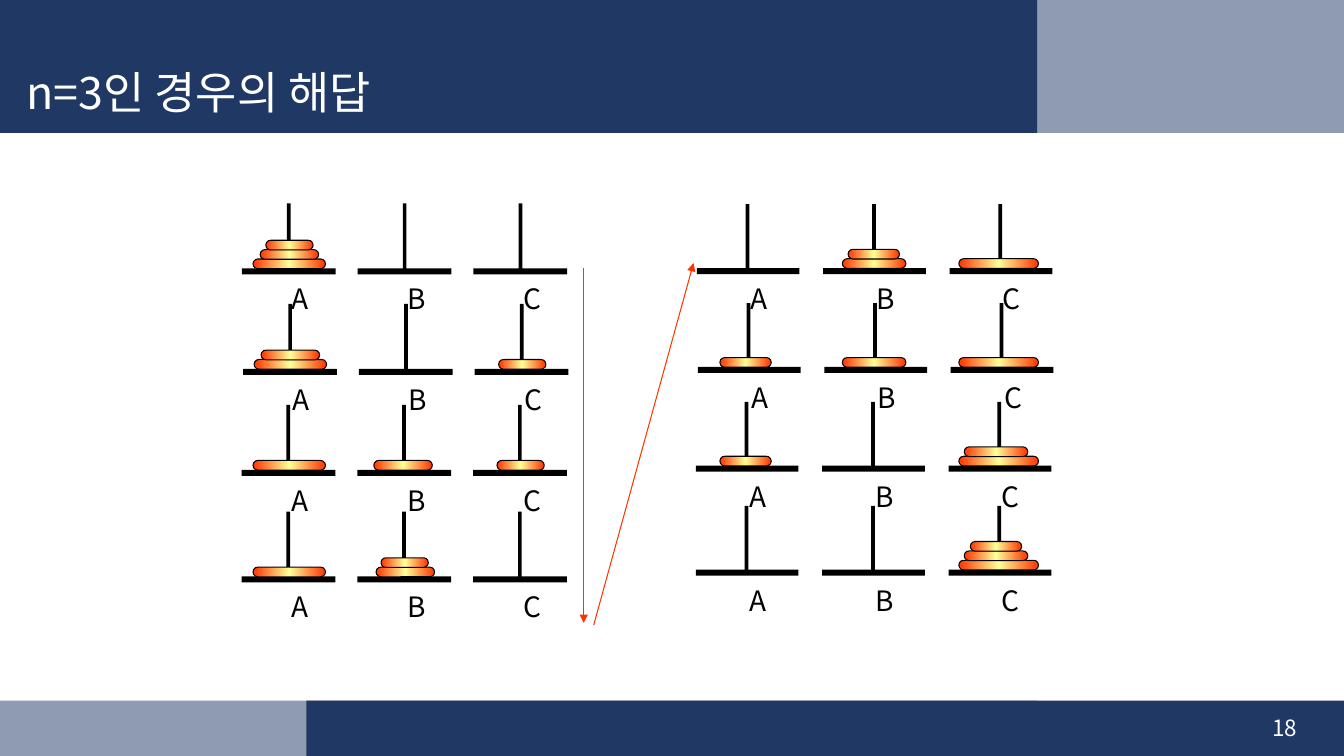
from dataclasses import dataclass

from lxml.etree import SubElement
from pptx import Presentation
from pptx.dml.color import RGBColor
from pptx.enum.shapes import MSO_CONNECTOR as CONN, MSO_SHAPE as SHAPE
from pptx.enum.text import MSO_ANCHOR as ANCHOR, MSO_AUTO_SIZE as AUTO, PP_ALIGN as ALIGN
from pptx.oxml.ns import qn
from pptx.util import Pt

COLORS = {"navy": "203864", "white": "FFFFFF", "black": "000000", "red": "FF3300", "yellow": "FFFF99"}
FONT = "Noto Sans CJK KR"
DISK_STOPS = ((0, "red"), (50000, "yellow"), (100000, "red"))


@dataclass(frozen=True)
class Band:
    x: float
    y: float
    w: float
    h: float
    alpha: int = 100


@dataclass(frozen=True)
class Disk:
    size: str
    x: float


@dataclass(frozen=True)
class State:
    x: float
    y: float
    rod_dx: float
    pegs: tuple[tuple[Disk, ...], ...]


@dataclass(frozen=True)
class Board:
    step: float
    base_w: float
    rod_top: float
    rod_h: float
    label_dx: float
    widths: dict[str, float]
    states: tuple[State, ...]


@dataclass(frozen=True)
class Arrow:
    x1: float
    y1: float
    x2: float
    y2: float


BANDS = (
    Band(218.9, 500.4, 741.1, 39.6),
    Band(0, 500.4, 740.9, 39.6, 50),
    Band(0, 0, 740.9, 95),
    Band(740.9, 0, 219.1, 95, 50),
)
LEFT = Board(82.7, 67, 46.4, 48.8, 28.5, {"S": 33.8, "M": 41.8, "L": 51.8}, (
    State(172.8, 191.7, 32.2, ((Disk("L", 180.7), Disk("M", 185.8), Disk("S", 189.9)), (), ())),
    State(173.7, 263.5, 32.2, ((Disk("L", 181.5), Disk("M", 186.5)), (), (Disk("S", 356.2),))),
    State(172.6, 335.6, 32, ((Disk("L", 180.7),), (Disk("M", 267),), (Disk("S", 355),))),
    State(172.6, 411.8, 32, ((Disk("L", 180.7),), (Disk("M", 268.6), Disk("S", 272.2)), ())),
))
RIGHT = Board(90.3, 73.4, 45.6, 47.5, 31, {"S": 36.7, "M": 45.4, "L": 56.9}, (
    State(497.7, 191.5, 34.9, ((), (Disk("M", 601.7), Disk("S", 605.8)), (Disk("L", 684.9),))),
    State(498.5, 262.1, 34.9, ((Disk("S", 514.2),), (Disk("M", 601.7),), (Disk("L", 684.9),))),
    State(497, 332.6, 34.9, ((Disk("S", 514.2),), (), (Disk("L", 684.9), Disk("M", 688.8)))),
    State(497, 406.9, 34.9, ((), (), (Disk("L", 684.9), Disk("M", 688.8), Disk("S", 693.1)))),
))
ARROWS = (Arrow(417, 191.5, 417, 445), Arrow(424.1, 446.4, 495.4, 187.9))


def rgb(name: str) -> RGBColor:
    return RGBColor.from_string(COLORS[name])


def add_block(shapes, kind, x: float, y: float, w: float, h: float, color: str = "black"):
    sp = shapes.add_shape(kind, Pt(x), Pt(y), Pt(w), Pt(h))
    sp.shadow.inherit = False
    sp.fill.solid()
    sp.fill.fore_color.rgb = rgb(color)
    sp.line.fill.background()
    return sp


def add_band(shapes, band: Band) -> None:
    sp = add_block(shapes, SHAPE.RECTANGLE, band.x, band.y, band.w, band.h, "navy")
    if band.alpha < 100:
        clr = sp._element.spPr.find(qn("a:solidFill")).find(qn("a:srgbClr"))
        SubElement(clr, qn("a:alpha"), val=str(band.alpha * 1000))


def add_disk(shapes, x: float, y: float, w: float) -> None:
    sp = add_block(shapes, SHAPE.ROUNDED_RECTANGLE, x, y, w, 6.9)
    sp.adjustments[0] = 0.5
    sp.line.color.rgb = rgb("black")
    sp.line.width = Pt(0.75)
    sp.fill.gradient()
    sp.fill.gradient_angle = 0
    stops = sp._element.spPr.find(qn("a:gradFill")).find(qn("a:gsLst"))
    for old in list(stops):
        stops.remove(old)
    for pos, name in DISK_STOPS:
        gs = SubElement(stops, qn("a:gs"), pos=str(pos))
        SubElement(gs, qn("a:srgbClr"), val=COLORS[name])


def add_text(tf, text: str, size: float, color: str, align=ALIGN.LEFT) -> None:
    p = tf.paragraphs[0]
    p.alignment = align
    r = p.add_run()
    r.text = text
    r.font.size = Pt(size)
    r.font.name = FONT
    r.font.color.rgb = rgb(color)
    SubElement(r.font._element, qn("a:ea"), typeface=FONT)


def add_label(shapes, text: str, x: float, y: float) -> None:
    tf = shapes.add_textbox(Pt(x), Pt(y), Pt(28.5), Pt(30.8)).text_frame
    tf.word_wrap = False
    tf.auto_size = AUTO.SHAPE_TO_FIT_TEXT
    add_text(tf, text, 20, "black")


def add_state(shapes, board: Board, state: State) -> None:
    for i, (name, disks) in enumerate(zip("ABC", state.pegs)):
        x = state.x + i * board.step
        add_block(shapes, SHAPE.RECTANGLE, x, state.y, board.base_w, 4.3)
        add_block(shapes, SHAPE.RECTANGLE, x + state.rod_dx, state.y - board.rod_top, 2.7, board.rod_h)
        for level, disk in enumerate(disks, 1):
            add_disk(shapes, disk.x, state.y - 6.7 * level, board.widths[disk.size])
        add_label(shapes, name, x + board.label_dx, state.y + 6)


def add_arrow(shapes, arrow: Arrow) -> None:
    c = shapes.add_connector(CONN.STRAIGHT, Pt(arrow.x1), Pt(arrow.y1), Pt(arrow.x2), Pt(arrow.y2))
    c.line.color.rgb = rgb("red")
    c.line.width = Pt(0.75)
    SubElement(c.line._get_or_add_ln(), qn("a:tailEnd"), type="triangle")
    SubElement(c._element.spPr, qn("a:effectLst"))


def add_title(s, text: str) -> None:
    sp = s.shapes.title
    s.shapes._spTree.append(sp._element)
    sp.left, sp.top, sp.width, sp.height = Pt(11.5), Pt(41), Pt(729.4), Pt(53.3)
    tf = sp.text_frame
    tf.word_wrap = True
    tf.auto_size = AUTO.NONE
    tf.vertical_anchor = ANCHOR.MIDDLE
    tf.paragraphs[0].line_spacing = 0.9
    add_text(tf, text, 32, "white")


def add_page_number(shapes, text: str) -> None:
    tf = shapes.add_textbox(Pt(717.8), Pt(505.4), Pt(216), Pt(28.8)).text_frame
    tf.word_wrap = True
    tf.vertical_anchor = ANCHOR.MIDDLE
    add_text(tf, text, 16, "white", ALIGN.RIGHT)


def main() -> None:
    prs = Presentation()
    prs.slide_width, prs.slide_height = Pt(960), Pt(540)
    s = prs.slides.add_slide(prs.slide_layouts[5])
    for band in BANDS:
        add_band(s.shapes, band)
    add_page_number(s.shapes, "18")
    add_title(s, "n=3인 경우의 해답")
    for board in (LEFT, RIGHT):
        group = s.shapes.add_group_shape()
        for state in board.states:
            add_state(group.shapes, board, state)
    for arrow in ARROWS:
        add_arrow(s.shapes, arrow)
    prs.save("out.pptx")


if __name__ == "__main__":
    main()
